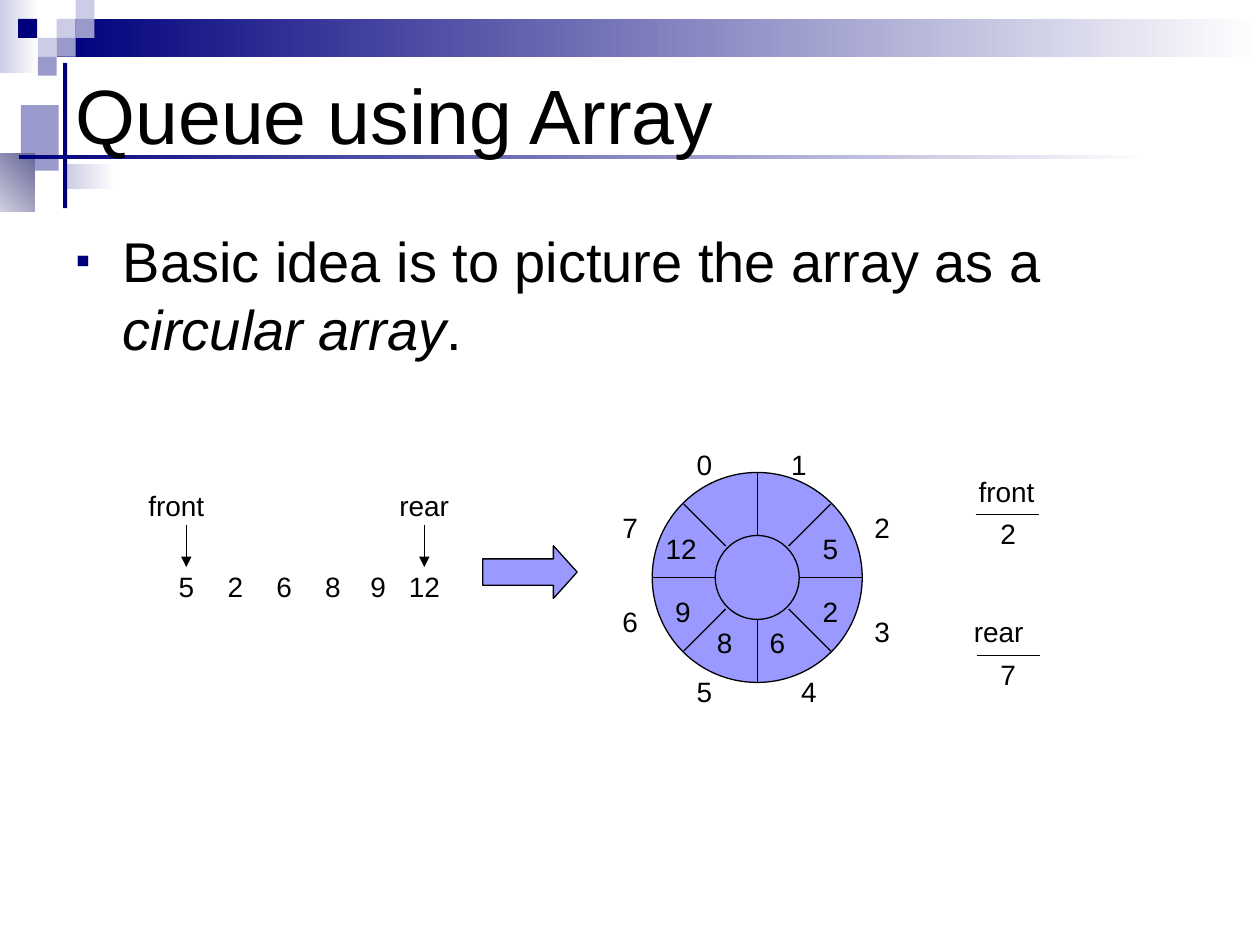
import itertools
from typing import NamedTuple, Optional

import lxml.etree
import pptx
import pptx.dml.color
import pptx.enum.shapes
import pptx.enum.text
import pptx.oxml.ns
import pptx.util

Pt = pptx.util.Pt
RGB = pptx.dml.color.RGBColor
Kind = pptx.enum.shapes.MSO_SHAPE
Fit = pptx.enum.text.MSO_AUTO_SIZE
Anchor = pptx.enum.text.MSO_ANCHOR
Align = pptx.enum.text.PP_ALIGN
qn = pptx.oxml.ns.qn

BLACK = RGB(0x00, 0x00, 0x00)
WHITE = RGB(0xFF, 0xFF, 0xFF)
NAVY = RGB(0x00, 0x00, 0x7D)
PALE = RGB(0xCC, 0xCC, 0xE6)
MID = RGB(0x99, 0x99, 0xCC)
SLATE = RGB(0x66, 0x66, 0x99)
LILAC = RGB(0x99, 0x99, 0xFF)
FONT = "Arial"
WIDTHS = {"front": 47, "rear": 43}


class Box(NamedTuple):
    x: float
    y: float
    w: float
    h: float


class Block(NamedTuple):
    box: Box
    start: RGB
    end: Optional[RGB] = None
    angle: float = 0


class Label(NamedTuple):
    text: str
    x: float
    y: float


class Stroke(NamedTuple):
    x1: float
    y1: float
    x2: float
    y2: float
    arrow: bool = False


TILE = 10.8
TILES = [
    Block(Box(x, y, TILE, TILE), tint)
    for x, y, tint in [
        (32.4, 10.8, PALE), (43.2, 0, PALE), (43.2, 10.8, MID), (21.6, 21.6, PALE),
        (10.4, 10.8, NAVY), (32.4, 21.6, MID), (21.6, 32.4, MID),
    ]
]
DECOR = [
    Block(Box(0, 0, 22, 42), PALE, WHITE),
    Block(Box(32.4, 10.8, 687.6, 21.6), NAVY, WHITE),
    *TILES,
    Block(Box(12, 60, 21.6, 37.5), MID),
    Block(Box(37.5, 93.6, 28.8, 14.4), PALE, WHITE),
    Block(Box(-24, 87.7, 44, 33.3), WHITE, SLATE, 45),
    Block(Box(36, 36, 2.4, 83), NAVY),
    Block(Box(10.8, 88.5, 648, 2.2), NAVY, WHITE),
]

CX, CY, RIM, HOLE = 432.7, 330, 60, 24
QUEUE = ["5", "2", "6", "8", "9", "12"]
QUEUE_X = [106.5, 134.5, 162.3, 190.2, 216, 242.5]
CELLS = [(474.5, 313.5), (474.5, 349.5), (444.2, 367.5), (414, 367.5), (390.2, 349.5), (389.2, 313.5)]
SLOTS = [
    (402.5, 265.3), (456.5, 265.3), (504, 301.3), (504, 361),
    (462.2, 395), (402.5, 395), (360, 355.3), (360, 301.3),
]
LABELS = [
    Label("front", 101.2, 289),
    Label("rear", 242.6, 289),
    *[Label(text, x, 335.2) for text, x in zip(QUEUE, QUEUE_X)],
    *[Label(text, *spot) for text, spot in zip(QUEUE, CELLS)],
    *[Label(str(slot), *spot) for slot, spot in enumerate(SLOTS)],
    Label("front", 575.7, 281.2),
    Label("2", 576, 305),
    Label("rear", 570.9, 361.2),
    Label("7", 576, 385.5),
]


def spokes() -> list[Stroke]:
    lines = []
    for dx, dy in itertools.product((-1, 0, 1), repeat=2):
        if dx or dy:
            near, far = (18, 42) if dx and dy else (HOLE, RIM)
            lines.append(Stroke(CX + dx * near, CY + dy * near, CX + dx * far, CY + dy * far))
    return lines


STROKES = [
    *[Stroke(x, 300, x, 324, True) for x in (QUEUE_X[0], QUEUE_X[-1])],
    Stroke(557.5, 294, 593.5, 294),
    Stroke(558, 374.4, 594, 374.4),
    *spokes(),
]


def place(shape, box: Box) -> None:
    shape.left, shape.top, shape.width, shape.height = map(Pt, box)


def style(run, size: float) -> None:
    run.font.name = FONT
    run.font.size = Pt(size)
    run.font.color.rgb = BLACK


def draw_block(shapes, block: Block) -> None:
    shape = shapes.add_shape(Kind.RECTANGLE, *map(Pt, block.box))
    shape.shadow.inherit = False
    shape.line.fill.background()
    if block.end is None:
        shape.fill.solid()
        shape.fill.fore_color.rgb = block.start
    else:
        shape.fill.gradient()
        shape.fill.gradient_angle = block.angle
        for stop, tint in zip(shape.fill.gradient_stops, (block.start, block.end)):
            stop.color.rgb = tint


def draw_form(shapes, kind: Kind, box: Box):
    shape = shapes.add_shape(kind, *map(Pt, box))
    shape.shadow.inherit = False
    shape.fill.solid()
    shape.fill.fore_color.rgb = LILAC
    shape.line.color.rgb = BLACK
    shape.line.width = Pt(0.75)
    return shape


def draw_stroke(shapes, stroke: Stroke) -> None:
    line = shapes.add_connector(pptx.enum.shapes.MSO_CONNECTOR.STRAIGHT, *map(Pt, stroke[:4]))
    line.line.color.rgb = BLACK
    line.line.width = Pt(0.75)
    if stroke.arrow:
        lxml.etree.SubElement(line.line._get_or_add_ln(), qn("a:tailEnd"), type="triangle")
    lxml.etree.SubElement(line.element.spPr, qn("a:effectLst"))


def draw_label(shapes, label: Label) -> None:
    wide, high = WIDTHS.get(label.text, 14 + 9 * len(label.text)), 26.6
    box = Box(label.x - wide / 2, label.y - high / 2, wide, high)
    frame = shapes.add_textbox(*map(Pt, box)).text_frame
    frame.word_wrap = False
    frame.auto_size = Fit.SHAPE_TO_FIT_TEXT
    frame.text = label.text
    style(frame.paragraphs[0].runs[0], 16)


def fill_title(title) -> None:
    place(title, Box(36, 28.8, 648, 72))
    frame = title.text_frame
    frame.text = "Queue using Array"
    frame.auto_size = Fit.NONE
    frame.vertical_anchor = Anchor.MIDDLE
    frame.paragraphs[0].alignment = Align.LEFT
    style(frame.paragraphs[0].runs[0], 44)


def fill_body(body) -> None:
    place(body, Box(36, 126, 648, 96))
    frame = body.text_frame
    frame.auto_size = Fit.NONE
    para = frame.paragraphs[0]
    for text in ("Basic idea is to picture the array as a ", "circular array", "."):
        run = para.add_run()
        run.text = text
        style(run, 32)
    para.runs[1].font.italic = True
    props = para._p.get_or_add_pPr()
    props.set("marL", str(Pt(27)))
    props.set("indent", str(Pt(-27)))
    tint = lxml.etree.SubElement(props, qn("a:buClr"))
    lxml.etree.SubElement(tint, qn("a:srgbClr"), val=str(NAVY))
    lxml.etree.SubElement(props, qn("a:buSzPct"), val="75000")
    lxml.etree.SubElement(props, qn("a:buFont"), typeface=FONT)
    lxml.etree.SubElement(props, qn("a:buChar"), char="▪")


def main() -> None:
    deck = pptx.Presentation()
    deck.slide_width, deck.slide_height = Pt(720), Pt(540)
    slide = deck.slides.add_slide(deck.slide_layouts[1])
    shapes = slide.shapes
    title, body = shapes.title, slide.placeholders[1]
    for block in DECOR:
        draw_block(shapes, block)
    for holder in (title, body):
        holder.element.getparent().append(holder.element)
    fill_title(title)
    fill_body(body)
    arrow = draw_form(shapes, Kind.RIGHT_ARROW, Box(275.8, 311.8, 54, 30.2))
    arrow.adjustments[1] = 0.45
    for size in (RIM, HOLE):
        draw_form(shapes, Kind.OVAL, Box(CX - size, CY - size, 2 * size, 2 * size))
    for stroke in STROKES:
        draw_stroke(shapes, stroke)
    for label in LABELS:
        draw_label(shapes, label)
    deck.save("out.pptx")


if __name__ == "__main__":
    main()
